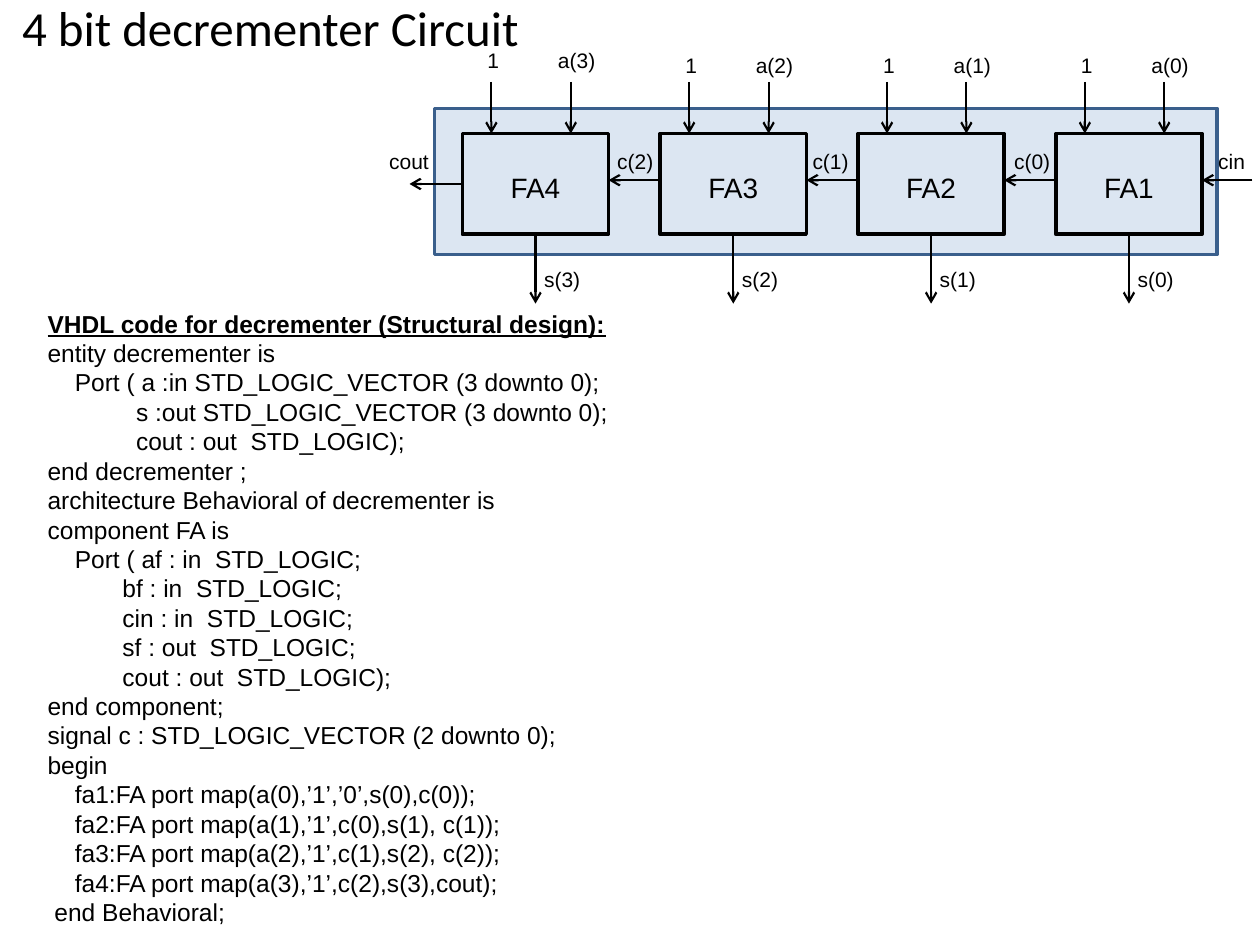
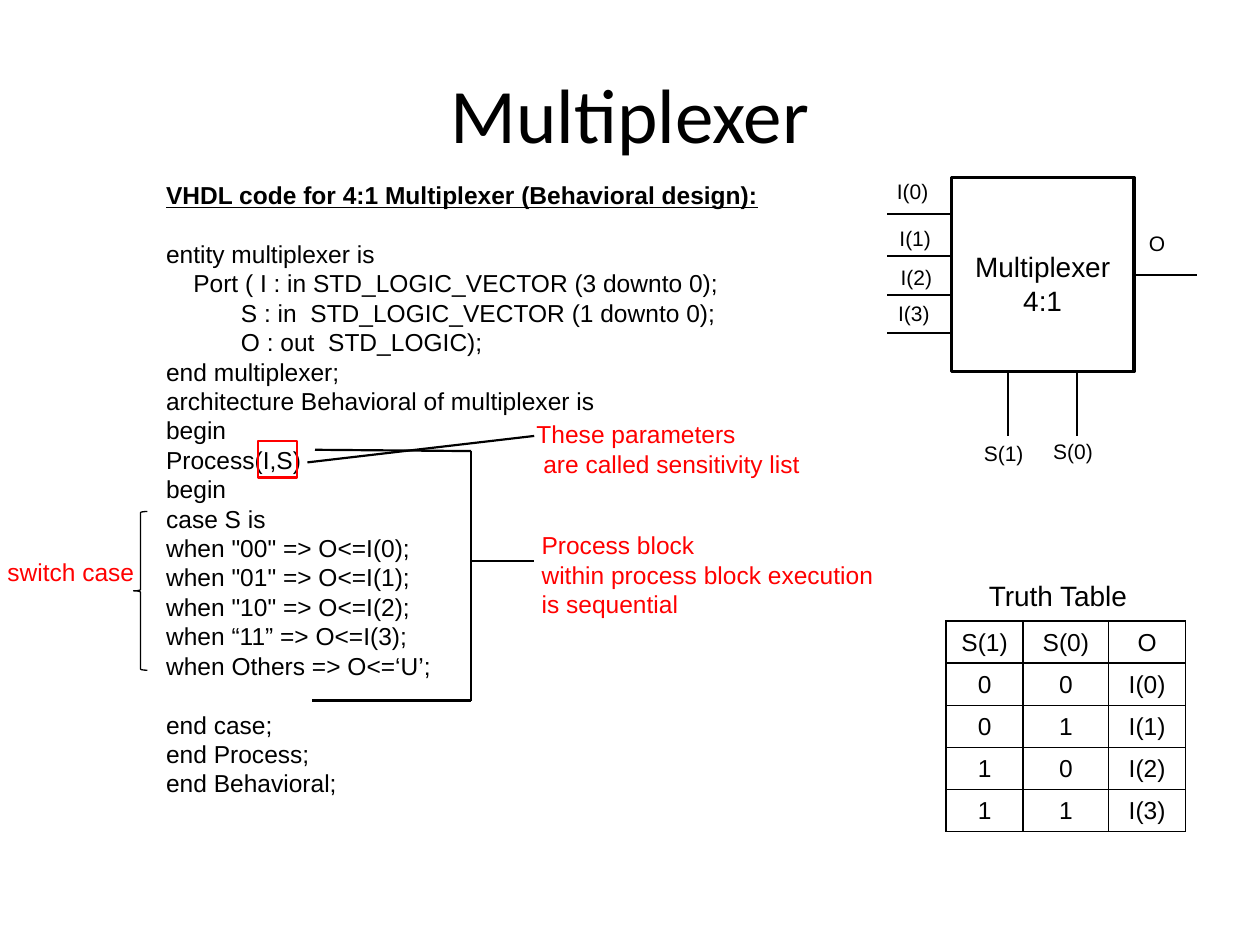
from lxml.etree import SubElement
from pptx import Presentation
from pptx.dml.color import RGBColor
from pptx.enum.shapes import MSO_CONNECTOR as Connector, MSO_SHAPE as Preset
from pptx.enum.text import MSO_ANCHOR as Anchor, MSO_AUTO_SIZE as AutoSize, PP_ALIGN as Align
from pptx.oxml.ns import qn
from pptx.util import Inches, Pt

BLACK, RED, PANEL, PANEL_EDGE = "000000", "FF0000", "DCE6F2", "3A5F8C"
LABEL, CODE, BLOCK = 12, 14, 16
LEADING = 1.2
SPACE_WIDTH = 0.054

DECREMENTER_CODE = [[
    (0, "VHDL code for decrementer (Structural design):"),
    (0, "entity decrementer is"),
    (4, "Port ( a :in STD_LOGIC_VECTOR (3 downto 0);"),
    (13, "s :out STD_LOGIC_VECTOR (3 downto 0);"),
    (13, "cout : out  STD_LOGIC);"),
    (0, "end decrementer ;"),
    (0, "architecture Behavioral of decrementer is"),
    (0, "component FA is"),
    (4, "Port ( af : in  STD_LOGIC;"),
    (11, "bf : in  STD_LOGIC;"),
    (11, "cin : in  STD_LOGIC;"),
    (11, "sf : out  STD_LOGIC;"),
    (11, "cout : out  STD_LOGIC);"),
    (0, "end component;"),
    (0, "signal c : STD_LOGIC_VECTOR (2 downto 0);"),
    (0, "begin"),
    (4, "fa1:FA port map(a(0),’1’,’0’,s(0),c(0));"),
    (4, "fa2:FA port map(a(1),’1’,c(0),s(1), c(1));"),
    (4, "fa3:FA port map(a(2),’1’,c(1),s(2), c(2));"),
    (4, "fa4:FA port map(a(3),’1’,c(2),s(3),cout);"),
    (1, "end Behavioral;"),
]]

MULTIPLEXER_CODE = [
    [(0, "VHDL code for 4:1 Multiplexer (Behavioral design):")],
    [
        (0, "entity multiplexer is"),
        (4, "Port ( I : in STD_LOGIC_VECTOR (3 downto 0);"),
        (11, "S : in  STD_LOGIC_VECTOR (1 downto 0);"),
        (11, "O : out  STD_LOGIC);"),
        (0, "end multiplexer;"),
        (0, "architecture Behavioral of multiplexer is"),
        (0, "begin"),
        (0, "Process(I,S)"),
        (0, "begin"),
        (0, "case S is"),
        (0, 'when "00" => O<=I(0);'),
        (0, 'when "01" => O<=I(1);'),
        (0, 'when "10" => O<=I(2);'),
        (0, "when “11” => O<=I(3);"),
        (0, "when Others => O<=‘U’;"),
    ],
    [(0, "end case;"), (0, "end Process;"), (0, "end Behavioral;")],
]

TRUTH_TABLE = [
    ("S(1)", "S(0)", "O"),
    ("0", "0", "I(0)"),
    ("0", "1", "I(1)"),
    ("1", "0", "I(2)"),
    ("1", "1", "I(3)"),
]


def colour(value):
    return RGBColor.from_string(value)


def apply(target, values):
    for name, value in values.items():
        setattr(target, name, value)


def indent(paragraph, spaces):
    properties = paragraph._p.get_or_add_pPr()
    properties.set("marL", str(Inches(spaces * SPACE_WIDTH)))
    properties.set("indent", "0")


class Deck:
    def __init__(self):
        self.presentation = Presentation()
        apply(self.presentation, {"slide_width": Inches(10), "slide_height": Inches(7.5)})
        self.slide = None

    def title_slide(self, text, box, size):
        self.slide = self.presentation.slides.add_slide(self.presentation.slide_layouts[5])
        title = self.slide.shapes.title
        apply(title, dict(zip(("left", "top", "width", "height"), map(Inches, box))))
        frame = title.text_frame
        frame.text = text
        apply(frame, {"auto_size": AutoSize.NONE, "word_wrap": True, "vertical_anchor": Anchor.MIDDLE})
        frame.paragraphs[0].alignment = Align.CENTER
        self.font(frame.paragraphs[0], size, BLACK, name="Calibri")

    def font(self, paragraph, size, ink, **extra):
        apply(paragraph.font, {"name": "Arial", "size": Pt(size), "bold": False, **extra})
        paragraph.font.color.rgb = colour(ink)

    def set_lines(self, frame, lines, size, ink=BLACK, align=Align.LEFT):
        frame.word_wrap = True
        for index, line in enumerate(lines):
            paragraph = frame.paragraphs[0] if index == 0 else frame.add_paragraph()
            paragraph.text = line
            apply(paragraph, {"alignment": align, "line_spacing": Pt(size * LEADING)})
            self.font(paragraph, size, ink)

    def text(self, lines, left, top, width=0.72, height=0.3, size=LABEL, ink=BLACK):
        lines = [lines] if isinstance(lines, str) else lines
        box = self.slide.shapes.add_textbox(*map(Inches, (left, top, width, height)))
        self.set_lines(box.text_frame, lines, size, ink)
        return box.text_frame

    def code(self, blocks, left, top, width):
        lines = [line for block in blocks for line in block]
        frame = self.text([text for _, text in lines], left, top, width, 5.05, CODE)
        for paragraph, (spaces, _) in zip(frame.paragraphs, lines):
            if spaces:
                indent(paragraph, spaces)
        start = 0
        for block in blocks[:-1]:
            start += len(block)
            frame.paragraphs[start].space_before = Pt(CODE * LEADING)
        apply(frame.paragraphs[0].font, {"bold": True, "underline": True})

    def shape(self, preset, left, top, width, height, edge=BLACK, weight=2, fill=None):
        shape = self.slide.shapes.add_shape(preset, *map(Inches, (left, top, width, height)))
        shape.shadow.inherit = False
        if fill:
            shape.fill.solid()
            shape.fill.fore_color.rgb = colour(fill)
        else:
            shape.fill.background()
        shape.line.color.rgb = colour(edge)
        shape.line.width = Pt(weight)
        return shape

    def block(self, lines, left, top, width, height, drop):
        shape = self.shape(Preset.RECTANGLE, left, top, width, height)
        frame = shape.text_frame
        apply(frame, {"margin_left": 0, "margin_right": 0, "vertical_anchor": Anchor.MIDDLE,
                      "margin_top": Inches(0.05 + 2 * drop)})
        self.set_lines(frame, lines, BLOCK, align=Align.CENTER)
        return shape

    def line(self, start, end, arrow=False, source=None):
        connector = self.slide.shapes.add_connector(
            Connector.STRAIGHT, *map(Inches, (*start, *end)))
        connector.line.color.rgb = colour(BLACK)
        connector.line.width = Pt(1.25)
        if arrow:
            SubElement(connector.line._get_or_add_ln(), qn("a:tailEnd"), type="arrow")
        SubElement(connector._element.spPr, qn("a:effectLst"))
        if source:
            connector.begin_connect(*source)

    def table(self, rows, left, top, widths, row_height):
        table = self.slide.shapes.add_table(
            len(rows), len(widths),
            *map(Inches, (left, top, sum(widths), row_height * len(rows)))).table
        apply(table, {"first_row": False, "horz_banding": False})
        for column, width in zip(table.columns, widths):
            column.width = Inches(width)
        for row, values in zip(table.rows, rows):
            row.height = Inches(row_height)
            for cell, value in zip(row.cells, values):
                self.set_lines(cell.text_frame, [value], CODE, align=Align.CENTER)
                self.borders(cell)
                cell.fill.background()

    def borders(self, cell):
        properties = cell._tc.get_or_add_tcPr()
        for side in ("lnL", "lnR", "lnT", "lnB"):
            border = SubElement(properties, qn(f"a:{side}"), w=str(Pt(1)))
            SubElement(SubElement(border, qn("a:solidFill")), qn("a:srgbClr"), val=BLACK)


def decrementer(deck):
    deck.title_slide("4 bit decrementer Circuit", (-0.2, 0.05, 4.69, 0.33), 28)
    deck.code(DECREMENTER_CODE, 0.28, 2.4, 5.23)
    deck.shape(Preset.RECTANGLE, 3.45, 0.86, 6.21, 1.16, PANEL_EDGE, 2, PANEL)

    adder_width, adder_top, adder_height, pitch = 1.16, 1.06, 0.8, 1.57
    bottom = adder_top + adder_height
    carries = [("c(2)", 4.8), ("c(1)", 6.35), ("c(0)", 7.95), ("cin", 9.57)]
    for index, (carry, carry_left) in enumerate(carries):
        bit = 3 - index
        left = 3.67 + pitch * index
        right, middle = left + adder_width, left + adder_width / 2
        adder = deck.block([f"FA{bit + 1}"], left, adder_top, adder_width, adder_height, 0.03)
        label_top = 0.33 if index == 0 else 0.37
        for name, label_offset, arrow_offset in (("1", 0.1, 0.23), (f"a({bit})", 0.66, 0.86)):
            deck.text(name, left + label_offset, label_top)
            deck.line((left + arrow_offset, 0.65), (left + arrow_offset, adder_top), True)
        deck.line((right + 0.4, 1.43), (right, 1.43), True)
        deck.text(carry, carry_left, 1.13)
        deck.line((middle, bottom), (middle, 2.41), True, (adder, 2))
        deck.text(f"s({bit})", left + 0.55, 2.07)
        if index == 0:
            deck.line((left, 1.46), (3.25, 1.46), True, (adder, 1))
            deck.text("cout", 2.99, 1.13)


def multiplexer(deck):
    deck.title_slide("Multiplexer", (0.5, 0.27, 9, 1.25), 44)
    selector = deck.block(["Multiplexer", "4:1"], 7.55, 1.41, 1.45, 1.54, 0.07)
    inputs = [(7.02, 1.37, 1.7), (7.04, 1.74, 2.03), (7.05, 2.05, 2.34), (7.03, 2.34, 2.64)]
    for index, (left, top, wire) in enumerate(inputs):
        deck.text(f"I({index})", left, top)
        deck.line((7.04, wire), (7.55, wire))
    for name, left, top, wire in (("S(1)", 7.71, 3.45, 8), ("S(0)", 8.26, 3.43, 8.55)):
        deck.text(name, left, top)
        deck.line((wire, 2.95), (wire, 3.46))
    deck.text("O", 9.02, 1.78)
    deck.line((9, 2.18), (9.5, 2.18), source=(selector, 3))

    deck.code(MULTIPLEXER_CODE, 1.22, 1.38, 5)
    deck.text("Truth Table", 7.75, 4.54, 1.5, 0.37, BLOCK)
    deck.table(TRUTH_TABLE, 7.51, 4.93, (0.61, 0.68, 0.61), 0.33)

    bracket = [(2.5, 3.57), (3.74, 3.58), (3.74, 5.56), (2.48, 5.56)]
    for start, end in zip(bracket, bracket[1:]):
        deck.line(start, end)
    deck.line((3.74, 4.45), (4.24, 4.45))
    deck.text(["Process block", "within process block execution is sequential"],
              4.2, 4.16, 2.92, 0.81, CODE, RED)

    deck.shape(Preset.RECTANGLE, 2.05, 3.5, 0.31, 0.29, RED, 1.25)
    deck.line((2.44, 3.67), (4.24, 3.46))
    callout = deck.text(["These parameters", "are called sensitivity list"],
                        4.16, 3.28, 2.4, 0.57, CODE, RED)
    indent(callout.paragraphs[1], 1)

    deck.shape(Preset.LEFT_BRACE, 1.06, 4.06, 0.11, 1.26, BLACK, 0.75)
    deck.text("switch case", -0.04, 4.37, 1.25, 0.34, CODE, RED)


def main():
    deck = Deck()
    decrementer(deck)
    multiplexer(deck)
    deck.presentation.save("out.pptx")


if __name__ == "__main__":
    main()
